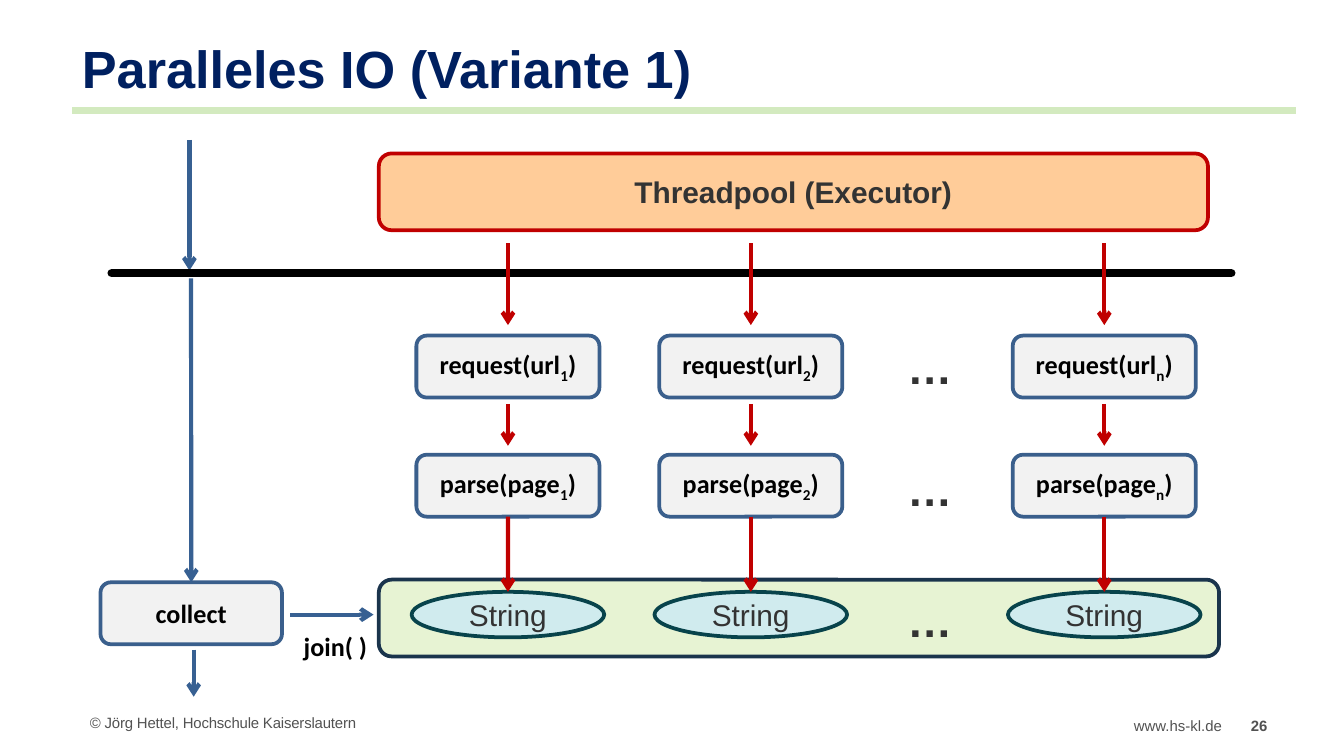
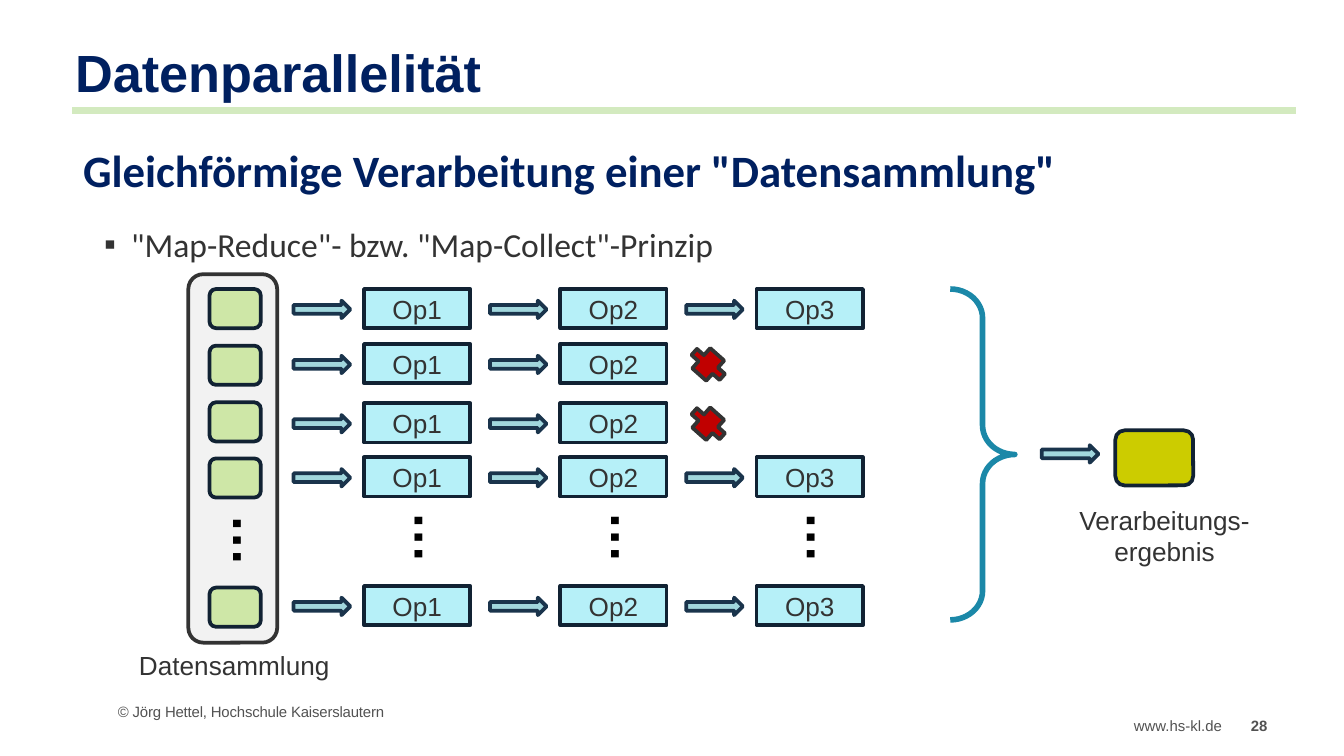
"""Build two slides on parallel IO and data parallelism."""
from lxml import etree
from pptx import Presentation
from pptx.dml.color import RGBColor
from pptx.enum.shapes import MSO_CONNECTOR, MSO_SHAPE
from pptx.enum.text import MSO_ANCHOR, PP_ALIGN
from pptx.oxml.ns import qn
from pptx.util import Cm, Pt

ROUNDED = MSO_SHAPE.ROUNDED_RECTANGLE
RECTANGLE = MSO_SHAPE.RECTANGLE
OVAL = MSO_SHAPE.OVAL
RIGHT_ARROW = MSO_SHAPE.RIGHT_ARROW
RIGHT_BRACE = MSO_SHAPE.RIGHT_BRACE
CROSS = MSO_SHAPE.CROSS
STRAIGHT = MSO_CONNECTOR.STRAIGHT
LEFT, CENTER = PP_ALIGN.LEFT, PP_ALIGN.CENTER
TOP, MIDDLE = MSO_ANCHOR.TOP, MSO_ANCHOR.MIDDLE

BLACK = RGBColor(0x00, 0x00, 0x00)
TEXT = RGBColor(0x33, 0x33, 0x33)
NAVY = RGBColor(0x00, 0x20, 0x60)
FOOTER_GREY = RGBColor(0x52, 0x52, 0x52)
RULE_GREEN = RGBColor(0xD3, 0xEA, 0xBF)
LIGHT_GREY = RGBColor(0xF2, 0xF2, 0xF2)
TASK_BLUE = RGBColor(0x3A, 0x5F, 0x8C)
FLOW_BLUE = RGBColor(0x37, 0x60, 0x92)
RED = RGBColor(0xC0, 0x00, 0x00)
POOL_ORANGE = RGBColor(0xFF, 0xCC, 0x99)
RESULT_GREEN = RGBColor(0xE7, 0xF3, 0xD3)
DARK_BLUE = RGBColor(0x1A, 0x34, 0x4C)
STRING_TEAL = RGBColor(0xD0, 0xEB, 0xEE)
STRING_LINE = RGBColor(0x08, 0x43, 0x4B)
ITEM_GREEN = RGBColor(0xCE, 0xE7, 0xA7)
ITEM_LINE = RGBColor(0x11, 0x22, 0x33)
OUTCOME_YELLOW = RGBColor(0xCC, 0xCC, 0x00)
OPERATION_CYAN = RGBColor(0xB6, 0xF0, 0xF8)
ARROW_TEAL = RGBColor(0xA1, 0xD7, 0xDD)
BRACE_BLUE = RGBColor(0x1B, 0x88, 0xA8)


def add_box(slide, kind, left, top, width, height, text="", size=14, color=TEXT,
            bold=False, font="Arial", fill=None, line=None, align=CENTER,
            anchor=MIDDLE, inset=None):
    """Add a shape, or a text box if kind is None; text between bars is subscript."""
    frame = Cm(left), Cm(top), Cm(width), Cm(height)
    if kind is None:
        shape = slide.shapes.add_textbox(*frame)
    else:
        shape = slide.shapes.add_shape(kind, *frame)
        shape.shadow.inherit = False
        if fill is None:
            shape.fill.background()
        else:
            shape.fill.solid()
            shape.fill.fore_color.rgb = fill
        shape.line.color.rgb = line
        shape.line.width = Pt(2)
    if text:
        text_frame = shape.text_frame
        text_frame.word_wrap = True
        text_frame.vertical_anchor = anchor
        if inset is not None:
            text_frame.margin_left = text_frame.margin_right = Cm(inset)
            text_frame.margin_top = text_frame.margin_bottom = Cm(inset)
        paragraph = text_frame.paragraphs[0]
        paragraph.alignment = align
        for index, part in enumerate(text.split("|")):
            run = paragraph.add_run()
            run.text = part
            run.font.name = font
            run.font.size = Pt(size)
            run.font.bold = bold
            run.font.color.rgb = color
            if index == 1:
                run.font._element.set("baseline", "-25000")
    return shape


def add_line(slide, start_x, start_y, end_x, end_y, color, width=2.25, arrow=True):
    """Add a straight connector, with an arrowhead at its end by default."""
    connector = slide.shapes.add_connector(
        STRAIGHT, Cm(start_x), Cm(start_y), Cm(end_x), Cm(end_y))
    connector.line.color.rgb = color
    connector.line.width = Pt(width)
    if arrow:
        outline = connector.line._get_or_add_ln()
        etree.SubElement(outline, qn("a:tailEnd"), type="arrow")
    etree.SubElement(connector._element.spPr, qn("a:effectLst"))
    return connector


presentation = Presentation()
presentation.slide_width = Cm(25.4)
presentation.slide_height = Cm(14.28)

slides = []
for title, number, title_frame, copyright_frame in (
    ("Paralleles IO (Variante 1)", "26", (1.45, 0.61, 22.96, 1.42), (1.45, 13.46, 8.8, 0.38)),
    ("Datenparallelität", "28", (1.32, 0.61, 21.69, 1.57), (1.98, 13.26, 9.2, 0.38)),
):
    slide = presentation.slides.add_slide(presentation.slide_layouts[6])
    slides.append(slide)
    for left, width, text, bold in ((21.18, 2.21, "www.hs-kl.de", False),
                                    (23.39, 1.09, number, True)):
        footer = add_box(slide, None, left, 13.41, width, 0.61, text, 8, FOOTER_GREY,
                         bold, align=LEFT, anchor=TOP)
        footer.text_frame.word_wrap = False
    add_line(slide, 1.37, 2.09, 24.49, 2.09, RULE_GREEN, 3.75, arrow=False)
    title_box = add_box(slide, None, *title_frame, title, 28, NAVY, True,
                        align=LEFT, inset=0.1)
    title_box.text_frame.paragraphs[0].line_spacing = Pt(31)
    copyright_box = add_box(slide, None, *copyright_frame,
                            "© Jörg Hettel, Hochschule Kaiserslautern", 8,
                            FOOTER_GREY, align=LEFT)
    copyright_box.text_frame.paragraphs[0].runs[0].font._element.set("spc", "-10")

io_slide, data_slide = slides

task_style = {"color": BLACK, "bold": True, "font": "Calibri",
              "fill": LIGHT_GREY, "line": TASK_BLUE}
add_box(io_slide, ROUNDED, 7.16, 10.95, 15.88, 1.45, fill=RESULT_GREEN, line=DARK_BLUE)
add_box(io_slide, ROUNDED, 7.16, 2.9, 15.67, 1.45, "Threadpool (Executor)", 16,
        bold=True, fill=POOL_ORANGE, line=RED)

add_line(io_slide, 3.58, 2.64, 3.58, 5.11, FLOW_BLUE)
collect = add_box(io_slide, ROUNDED, 1.9, 11, 3.43, 1.17, "collect", **task_style)
main_flow = add_line(io_slide, 3.61, 5.26, 3.61, 11, FLOW_BLUE)
main_flow.end_connect(collect, 0)
add_line(io_slide, 5.49, 11.61, 7.06, 11.61, FLOW_BLUE)
add_line(io_slide, 3.66, 12.27, 3.66, 13.16, FLOW_BLUE)
add_box(io_slide, None, 5.49, 11.79, 1.8, 0.86, "join( )", color=BLACK, bold=True,
        font="Calibri", align=LEFT, anchor=TOP)
time_line = add_line(io_slide, 2.11, 5.16, 23.27, 5.16, BLACK, 4.5, arrow=False)
time_line.line._get_or_add_ln().set("cap", "rnd")

for center, index in ((9.6, "1"), (14.19, "2"), (20.87, "n")):
    add_line(io_slide, center, 4.6, center, 6.14, RED)
    add_box(io_slide, ROUNDED, center - 1.73, 6.34, 3.46, 1.17,
            f"request(url|{index}|)", **task_style)
    add_line(io_slide, center, 7.63, center, 8.42, RED)
    parse_box = add_box(io_slide, ROUNDED, center - 1.73, 8.59, 3.46, 1.17,
                        f"parse(page|{index}|)", **task_style)
    string = add_box(io_slide, OVAL, center - 1.82, 11.18, 3.64, 0.86, "String", 16,
                     fill=STRING_TEAL, line=STRING_LINE)
    delivery = add_line(io_slide, center, 9.76, center, 11.18, RED)
    delivery.begin_connect(parse_box, 2)
    delivery.end_connect(string, 0)

for top in (6.3, 8.59, 11.07):
    add_box(io_slide, None, 16.9, top, 1.47, 1.27, "…", 24, bold=True,
            align=LEFT, anchor=TOP)

body = add_box(data_slide, None, 1.32, 2.6, 21.79, 4, 'Gleichförmige Verarbeitung einer "Datensammlung"',
               24, NAVY, True, "Calibri", align=LEFT, anchor=TOP)
body.text_frame.margin_top = Cm(0.1)
body.text_frame.paragraphs[0].space_after = Pt(6)
paragraph = body.text_frame.add_paragraph()
paragraph.text = '"Map-Reduce"- bzw. "Map-Collect"-Prinzip'
paragraph.level = 1
properties = paragraph._p.get_or_add_pPr()
properties.set("marL", str(Cm(0.91)))
properties.set("indent", str(-Cm(0.51)))
etree.SubElement(properties, qn("a:buFont"), typeface="Arial")
etree.SubElement(properties, qn("a:buChar"), char="▪")
paragraph.space_before = Pt(8.4)
paragraph.space_after = Pt(6)
run = paragraph.runs[0]
run.font.name = "Calibri"
run.font.size = Pt(18)
run.font.color.rgb = TEXT

COLUMN_STEP = 3.71
arrow_style = {"fill": ARROW_TEAL, "line": DARK_BLUE}
add_box(data_slide, ROUNDED, 3.56, 5.18, 1.68, 6.96, fill=LIGHT_GREY, line=TEXT)
for item_top, operation_top, operation_count in (
    (5.46, 5.46, 3), (6.53, 6.5, 2), (7.6, 7.62, 2), (8.66, 8.64, 3), (11.1, 11.07, 3),
):
    add_box(data_slide, ROUNDED, 3.96, item_top, 0.97, 0.74,
            fill=ITEM_GREEN, line=ITEM_LINE)
    for column in range(operation_count):
        offset = column * COLUMN_STEP
        add_box(data_slide, RIGHT_ARROW, 5.55 + offset, operation_top + 0.22, 1.07, 0.33,
                **arrow_style)
        add_box(data_slide, RECTANGLE, 6.88 + offset, operation_top, 2.01, 0.74,
                f"Op{column + 1}", fill=OPERATION_CYAN, line=ITEM_LINE)
    if operation_count == 2:
        cross = add_box(data_slide, CROSS, 13.03, operation_top + 0.13, 0.71, 0.51,
                        fill=RED, line=TEXT)
        cross.adjustments[0] = 0.35
        cross.rotation = 41.7

for left, top in ((4.11, 9.37), (7.54, 9.31), (11.25, 9.31), (14.95, 9.31)):
    dots = add_box(data_slide, None, left, top, 1.14, 1.63, "…", 28, BLACK, True,
                   align=LEFT, anchor=TOP, inset=0.1)
    dots.rotation = 90

brace = add_box(data_slide, RIGHT_BRACE, 17.96, 5.46, 1.22, 6.25, line=BRACE_BLUE)
brace.adjustments[0] = 0.45
brace.line.width = Pt(3)
add_box(data_slide, RIGHT_ARROW, 19.69, 8.41, 1.07, 0.33, **arrow_style)
add_box(data_slide, ROUNDED, 21.08, 8.13, 1.47, 1.04, fill=OUTCOME_YELLOW, line=ITEM_LINE)
for left, top, height, caption in ((1.98, 12.14, 0.86, "Datensammlung"),
                                   (19.56, 9.4, 1.45, "Verarbeitungs-ergebnis")):
    add_box(data_slide, None, left, top, 4.9, height, caption, anchor=TOP)

presentation.save("out.pptx")
